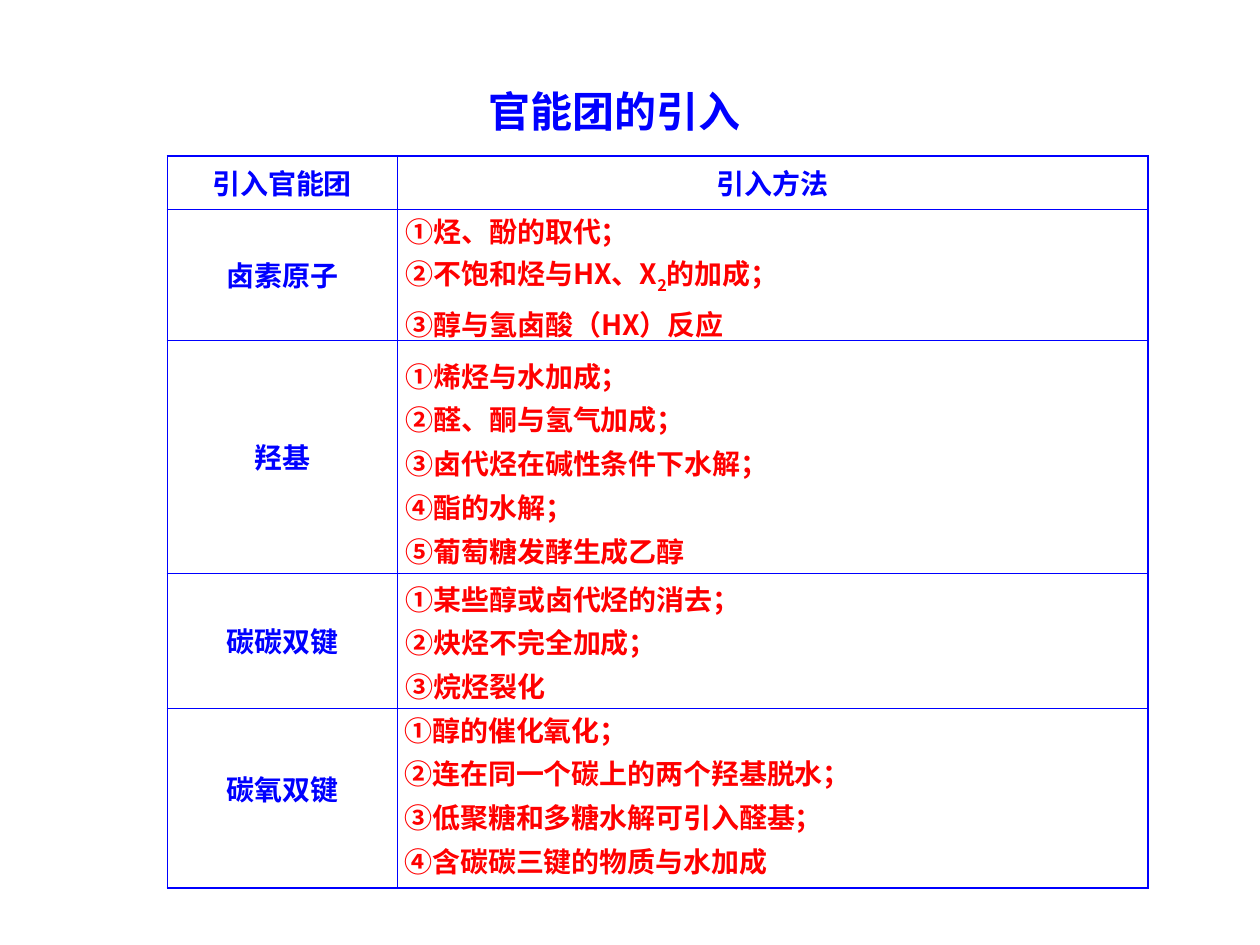
from lxml import etree
from pptx import Presentation
from pptx import util as u
from pptx.dml.color import RGBColor
from pptx.enum import text
from pptx.oxml import ns

BLUE = RGBColor(0x00, 0x00, 0xFF)
RED = RGBColor(0xFF, 0x00, 0x00)
FONT = "Noto Sans CJK SC"
THIN, THICK = 0.45, 1.08
COLUMNS = [1.82, 5.96]
ROWS = [0.41, 1.04, 1.85, 1.07, 1.43]
LABELS = ["引入官能团", "卤素原子", "羟基", "碳碳双键", "碳氧双键"]
METHODS = [
    ((3.12, 1.55, 6.02, 1.19), 26.5, [
        ["①烃、酚的取代；"],
        ["②不饱和烃与HX、X", "2", "的加成；"],
        ["③醇与氢卤酸（HX）反应"]]),
    ((3.12, 2.72, 6.02, 1.84), 25, [
        ["①烯烃与水加成；"],
        ["②醛、酮与氢气加成；"],
        ["③卤代烃在碱性条件下水解；"],
        ["④酯的水解；"],
        ["⑤葡萄糖发酵生成乙醇"]]),
    ((3.12, 4.49, 5.59, 1.14), 25, [
        ["①某些醇或卤代烃的消去；"],
        ["②炔烃不完全加成；"],
        ["③烷烃裂化"]]),
    ((3.11, 5.53, 6.02, 1.49), 25, [
        ["①醇的催化氧化；"],
        ["②连在同一个碳上的两个羟基脱水；"],
        ["③低聚糖和多糖水解可引入醛基；"],
        ["④含碳碳三键的物质与水加成"]]),
]


def add_span(para, words, size, color):
    span = para.add_run()
    span.text = words
    font = span.font
    font.name, font.size, font.bold = FONT, u.Pt(size), True
    font.color.rgb = color
    east = etree.SubElement(font._element, ns.qn("a:ea"))
    east.set("typeface", FONT)
    return span


def fill_placeholder(holder, box, lines, size, color, pitch):
    holder.left, holder.top, holder.width, holder.height = map(u.Inches, box)
    frame = holder.text_frame
    frame.word_wrap = True
    frame.auto_size = text.MSO_AUTO_SIZE.NONE
    frame.vertical_anchor = text.MSO_ANCHOR.TOP
    for index, line in enumerate(lines):
        para = frame.add_paragraph() if index else frame.paragraphs[0]
        properties = para._p.get_or_add_pPr()
        properties.set("marL", "0")
        properties.set("indent", "0")
        etree.SubElement(properties, ns.qn("a:buNone"))
        para.alignment = text.PP_ALIGN.LEFT
        para.space_before = u.Pt(0)
        para.line_spacing = u.Pt(pitch)
        for words in line:
            span = add_span(para, words, size, color)
            if words == "2":
                span.font._element.set("baseline", "-25000")


def draw_borders(cell, widths):
    properties = cell._tc.get_or_add_tcPr()
    for index, (side, width) in enumerate(widths.items()):
        line = etree.Element(ns.qn(f"a:ln{side}"), w=str(u.Pt(width)))
        fill = etree.SubElement(line, ns.qn("a:solidFill"))
        etree.SubElement(fill, ns.qn("a:srgbClr"), val=str(BLUE))
        properties.insert(index, line)


def write_cell(cell, words):
    cell.vertical_anchor = text.MSO_ANCHOR.MIDDLE
    para = cell.text_frame.paragraphs[0]
    para.alignment = text.PP_ALIGN.CENTER
    add_span(para, words, 16, BLUE)


def add_group_table(page, box):
    table = page.shapes.add_table(len(ROWS), len(COLUMNS), *map(u.Inches, box)).table
    table.first_row = table.horz_banding = False
    for column, width in zip(table.columns, COLUMNS):
        column.width = u.Inches(width)
    last = len(ROWS) - 1
    for index, (row, height) in enumerate(zip(table.rows, ROWS)):
        row.height = u.Inches(height)
        for position, cell in enumerate(row.cells):
            cell.fill.background()
            draw_borders(cell, {
                "L": THIN if position else THICK,
                "R": THICK if position else THIN,
                "T": THIN if index else THICK,
                "B": THICK if index == last else THIN,
            })
        write_cell(row.cells[0], LABELS[index])
    write_cell(table.cell(0, 1), "引入方法")
    table.cell(last, 0).margin_bottom = u.Inches(0.2)


def main():
    deck = Presentation()
    deck.slide_width, deck.slide_height = u.Inches(10), u.Inches(7.5)
    page = deck.slides.add_slide(deck.slide_layouts.get_by_name("Comparison"))
    title, *bodies = page.placeholders
    fill_placeholder(title, (3.78, 0.6, 3.4, 0.5), [["官能团的引入"]], 24, BLUE, 31)
    add_group_table(page, (1.33, 1.24, sum(COLUMNS), sum(ROWS)))
    for body, (box, pitch, lines) in zip(bodies, METHODS):
        fill_placeholder(body, box, lines, 16, RED, pitch)
    deck.save("out.pptx")


if __name__ == "__main__":
    main()
